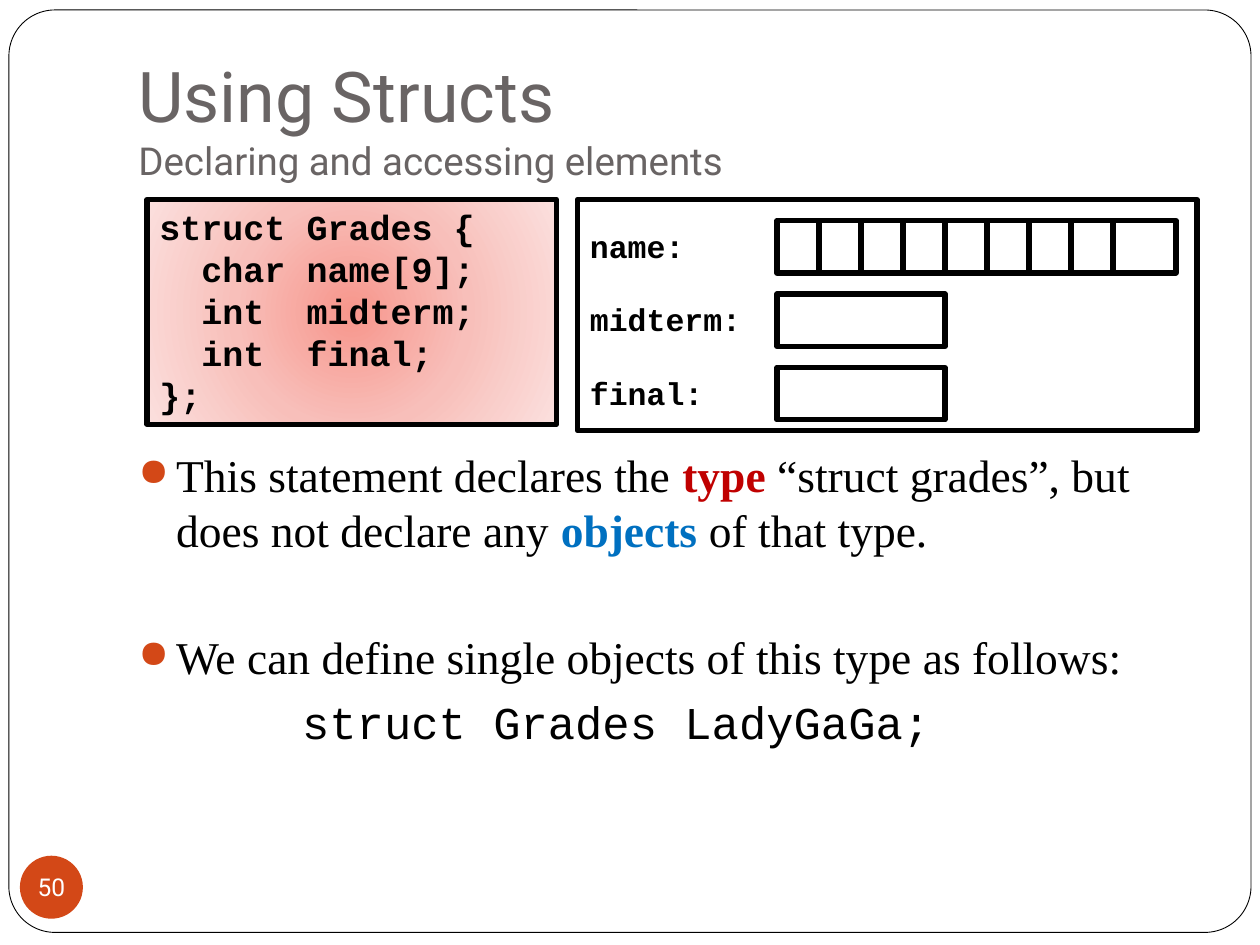
from dataclasses import dataclass
from lxml.etree import SubElement
from pptx import Presentation
from pptx.dml.color import RGBColor as Color
from pptx.enum.shapes import MSO_SHAPE as Shape
from pptx.enum.text import MSO_ANCHOR as Anchor, MSO_AUTO_SIZE as AutoSize, PP_ALIGN as Align
from pptx.oxml import parse_xml
from pptx.oxml.ns import nsdecls, qn
from pptx.util import Inches, Pt


@dataclass(frozen=True)
class Theme:
    heading: str = "Roboto"
    prose: str = "Times New Roman"
    code: str = "Courier New"
    black: str = "000000"
    white: str = "FFFFFF"
    grey: str = "696464"
    accent: str = "D34817"
    red: str = "C00000"
    blue: str = "0070C0"
    glow: tuple = ((0, "F7968C"), (50, "F8BFBA"), (100, "FBE0DE"))
    title_size: int = 40
    subtitle_size: int = 22
    body_size: int = 26
    code_size: int = 20
    label_size: int = 18
    number_size: int = 14
    thick: float = 3
    thin: float = 0.5


theme = Theme()
CELL = Inches(1) // 12

deck = Presentation()
deck.slide_width, deck.slide_height = 120 * CELL, 90 * CELL
page = deck.slides.add_slide(deck.slide_layouts[6])


def add_box(parent, kind, column, row, columns, rows, fill=None, line=theme.thick):
    place = [round(length * CELL) for length in (column, row, columns, rows)]
    if kind is None:
        box = parent.add_textbox(*place)
        box.text_frame.word_wrap = True
        return box
    box = parent.add_shape(kind, *place)
    box.shadow.inherit = False
    if fill:
        box.fill.solid()
        box.fill.fore_color.rgb = Color.from_string(fill)
    else:
        box.fill.background()
    if line:
        box.line.color.rgb = Color.from_string(theme.black)
        box.line.width = Pt(line)
    else:
        box.line.fill.background()
    return box


def add_span(para, text, font, size, color=theme.black, bold=False):
    span = para.add_run()
    span.text = text
    span.font.name = font
    span.font.size = Pt(size)
    span.font.bold = bold
    span.font.color.rgb = Color.from_string(color)


frame = add_box(page.shapes, Shape.ROUNDED_RECTANGLE, 0.85, 0.95, 118.3, 87.85, theme.white, theme.thin)
frame.adjustments[0] = 0.05

title = add_box(page.shapes, None, 12, 3.6, 102, 15).text_frame
title.vertical_anchor = Anchor.BOTTOM
title.margin_bottom = Inches(0.1)
para = title.paragraphs[0]
add_span(para, "Using Structs", theme.heading, theme.title_size, theme.grey)
para.add_line_break()
add_span(para, "Declaring and accessing elements", theme.heading, theme.subtitle_size, theme.grey)

body = add_box(page.shapes, None, 12, 42, 103, 30).text_frame
bullets = [
    (0, [("This statement declares the ", theme.black, False),
         ("type", theme.red, True),
         (" “struct grades”, but does not declare any ", theme.black, False),
         ("objects ", theme.blue, True),
         ("of that type.", theme.black, False)]),
    (41.5, [("We can define single objects of this type as follows:", theme.black, False)]),
]
for index, (gap, spans) in enumerate(bullets):
    para = body.add_paragraph() if index else body.paragraphs[0]
    para.space_before = Pt(gap)
    props = para._p.get_or_add_pPr()
    props.set("marL", str(Inches(0.3)))
    props.set("indent", str(-Inches(0.3)))
    SubElement(SubElement(props, qn("a:buClr")), qn("a:srgbClr")).set("val", theme.accent)
    SubElement(props, qn("a:buSzPct")).set("val", "85000")
    SubElement(props, qn("a:buChar")).set("char", "●")
    for text, color, bold in spans:
        add_span(para, text, theme.prose, theme.body_size, color, bold)
para = body.add_paragraph()
para.space_before = Pt(5.8)
para._p.get_or_add_pPr().set("marL", str(Inches(1.3)))
add_span(para, "struct Grades LadyGaGa;", theme.code, theme.body_size)

listing = add_box(page.shapes, Shape.RECTANGLE, 14, 19, 39, 21.4, theme.white)
stops = "".join(
    f'<a:gs pos="{share * 1000}"><a:srgbClr val="{color}"/></a:gs>' for share, color in theme.glow
)
gradient = parse_xml(
    f'<a:gradFill {nsdecls("a")} rotWithShape="1"><a:gsLst>{stops}</a:gsLst><a:path path="circle">'
    '<a:fillToRect l="50000" t="50000" r="50000" b="50000"/></a:path></a:gradFill>'
)
solid = listing._element.spPr.find(qn("a:solidFill"))
solid.getparent().replace(solid, gradient)
listing.text_frame.word_wrap = True
listing.text_frame.vertical_anchor = Anchor.TOP
code_lines = ["struct Grades {", "  char name[9];", "  int  midterm;", "  int  final;", "};"]
for index, code in enumerate(code_lines):
    para = listing.text_frame.add_paragraph() if index else listing.text_frame.paragraphs[0]
    para.alignment = Align.LEFT
    add_span(para, code, theme.code, theme.code_size, bold=True)

memory = page.shapes.add_group_shape().shapes
add_box(memory, Shape.RECTANGLE, 55, 19, 59, 22)
fields = [
    ("name:", 11.5, [4] * 8 + [6]),
    ("midterm:", 16.9, [16]),
    ("final:", 13.3, [16]),
]
for index, (name, label_width, widths) in enumerate(fields):
    row = 21 + 7 * index
    label = add_box(memory, None, 55, row, label_width, 4.8).text_frame
    label.word_wrap = False
    label.auto_size = AutoSize.SHAPE_TO_FIT_TEXT
    add_span(label.paragraphs[0], name, theme.code, theme.label_size, bold=True)
    for position, width in enumerate(widths):
        add_box(memory, Shape.RECTANGLE, 74 + sum(widths[:position]), row, width, 5)

badge = add_box(page.shapes, Shape.OVAL, 1.9, 81.5, 6, 6, theme.accent, None).text_frame
badge.margin_left = badge.margin_top = badge.margin_right = badge.margin_bottom = 0
badge.word_wrap = False
badge.vertical_anchor = Anchor.MIDDLE
badge.paragraphs[0].alignment = Align.CENTER
add_span(badge.paragraphs[0], "50", theme.heading, theme.number_size, theme.white)

deck.save("out.pptx")
